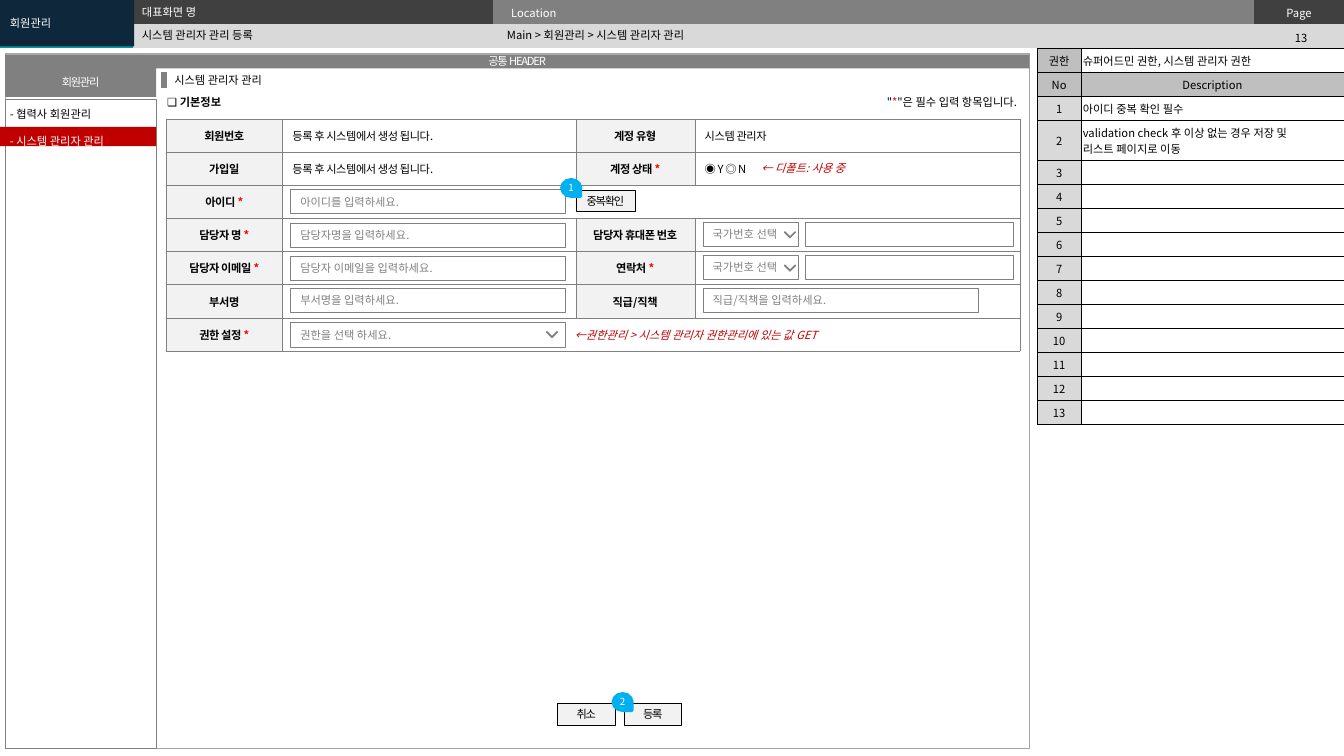
from dataclasses import dataclass

from lxml.etree import SubElement
from pptx import Presentation
from pptx.dml.color import RGBColor
from pptx.enum.shapes import MSO_CONNECTOR, MSO_SHAPE
from pptx.enum.text import MSO_ANCHOR, PP_ALIGN
from pptx.oxml.ns import qn
from pptx.shapes.autoshape import Shape
from pptx.table import Table, _Cell
from pptx.text.text import TextFrame
from pptx.util import Emu, Inches, Pt

CELL = Inches(0.1)  # grid step: the slide is 133.3 columns by 75 rows
FONT = "Noto Sans CJK KR"
BLACK = RGBColor(0x00, 0x00, 0x00)
WHITE = RGBColor(0xFF, 0xFF, 0xFF)
DARK = RGBColor(0x40, 0x40, 0x40)
GRAY = RGBColor(0x80, 0x80, 0x80)
SLATE = RGBColor(0x5F, 0x5F, 0x5F)
EDGE = RGBColor(0xA6, 0xA6, 0xA6)
SILVER = RGBColor(0xBF, 0xBF, 0xBF)
LIGHT = RGBColor(0xD9, 0xD9, 0xD9)
PALE = RGBColor(0xF2, 0xF2, 0xF2)
NAVY = RGBColor(0x0E, 0x27, 0x3B)
TEAL = RGBColor(0x00, 0x9C, 0xA6)
CRIMSON = RGBColor(0xC0, 0x00, 0x00)
RED = RGBColor(0xFF, 0x00, 0x00)
SKY = RGBColor(0x00, 0xB0, 0xF0)
LEFT, MID, RIGHT = PP_ALIGN.LEFT, PP_ALIGN.CENTER, PP_ALIGN.RIGHT
TOP, HALF = MSO_ANCHOR.TOP, MSO_ANCHOR.MIDDLE


@dataclass
class Box:
    x: float
    y: float
    w: float
    h: float
    text: str = ""
    fill: RGBColor | None = None
    line: RGBColor | None = None
    color: RGBColor = BLACK
    align: PP_ALIGN = LEFT
    anchor: MSO_ANCHOR = HALF
    pad: tuple[float, float] = (1, 0.5)
    track: int = 0
    bold: bool = False
    italic: bool = False
    space: float = 1


def span(n: float) -> Emu:
    return Emu(round(n * CELL))


def write(frame: TextFrame, text: str, *, size: float = 8, color: RGBColor = BLACK,
          align: PP_ALIGN = LEFT, bold: bool = False, italic: bool = False,
          track: int = 0, space: float = 1) -> None:
    """Write one paragraph per line, with any star in red."""
    for i, row in enumerate(text.split("\n")):
        par = frame.paragraphs[0] if i == 0 else frame.add_paragraph()
        par.alignment = align
        par.line_spacing = space
        for part in row.partition("*"):
            if not part:
                continue
            run = par.add_run()
            run.text = part
            run.font.size = Pt(size)
            run.font.bold = bold
            run.font.italic = italic
            run.font.color.rgb = RED if part == "*" else color
            run.font.name = FONT
            props = run._r.get_or_add_rPr()
            SubElement(props, qn("a:ea"), typeface=FONT)
            if track:
                props.set("spc", str(track))
        if not row:
            SubElement(par._p, qn("a:endParaRPr"), sz=str(size * 100))


def paint(shape: Shape, fill: RGBColor | None, line: RGBColor | None, width: float = 0.25) -> None:
    shape.shadow.inherit = False
    if fill is None:
        shape.fill.background()
    else:
        shape.fill.solid()
        shape.fill.fore_color.rgb = fill
    if line is None:
        shape.line.fill.background()
    else:
        shape.line.color.rgb = line
        shape.line.width = Pt(width)


def draw(box: Box) -> None:
    area = span(box.x), span(box.y), span(box.w), span(box.h)
    if box.fill is None and box.line is None:
        shape = shapes.add_textbox(*area)
    else:
        shape = shapes.add_shape(MSO_SHAPE.RECTANGLE, *area)
        paint(shape, box.fill, box.line)
    if box.text:
        frame = shape.text_frame
        frame.word_wrap = True
        frame.vertical_anchor = box.anchor
        frame.margin_left = frame.margin_right = span(box.pad[0])
        frame.margin_top = frame.margin_bottom = span(box.pad[1])
        write(frame, box.text, color=box.color, align=box.align, track=box.track,
              bold=box.bold, italic=box.italic, space=box.space)


def field(x: float, y: float, w: float, hint: str = "") -> None:
    draw(Box(x, y, w, 2.4, hint, WHITE, GRAY, GRAY))


def button(x: float, y: float, w: float, text: str) -> None:
    draw(Box(x, y, w, 2.1, text, PALE, BLACK, align=MID, pad=(0, 0), track=-90))


def bar(x: float, y: float, w: float, h: float, text: str) -> None:
    draw(Box(x, y, w, h, text, GRAY, color=WHITE, align=MID, pad=(0.4, 0.5), track=-90))


def arrow(x: float, y: float) -> None:
    """Draw the open arrow of a drop-down list."""
    dots = [(1.1, 0.05), (1.05, 0), (0.55, 0.5), (0.05, 0), (0, 0.05), (0.55, 0.6)]
    spots = [(span(x + a), span(y + b)) for a, b in dots]
    pen = shapes.build_freeform(*spots[0])
    pen.add_line_segments(spots[1:], close=True)
    paint(pen.convert_to_shape(), SLATE, GRAY, 0.75)


def badge(x: float, y: float, text: str) -> None:
    drop = shapes.add_shape(MSO_SHAPE.TEAR, span(x), span(y), span(1.7), span(1.9))
    drop.rotation = 90
    paint(drop, SKY, SKY, 2)
    frame = drop.text_frame
    frame.margin_left = frame.margin_right = frame.margin_top = frame.margin_bottom = 0
    frame.vertical_anchor = HALF
    frame._txBody.bodyPr.set("vert", "vert270")
    write(frame, text, size=7, color=WHITE, align=MID)


def grid(x: float, y: float, cols: list[float], rows: list[float]) -> Table:
    area = span(x), span(y), span(sum(cols)), span(sum(rows))
    table = shapes.add_table(len(rows), len(cols), *area).table
    for col, w in zip(table.columns, cols):
        col.width = span(w)
    for row, h in zip(table.rows, rows):
        row.height = span(h)
    return table


def enter(cell: _Cell, text: str, fill: RGBColor | None, edge: RGBColor | None = None, *,
          width: float = 0.5, pad: tuple[float, float] = (1, 0.5), anchor: MSO_ANCHOR = HALF,
          color: RGBColor = BLACK, align: PP_ALIGN = LEFT, bold: bool = False,
          track: int = 0) -> None:
    props = cell._tc.get_or_add_tcPr()
    for side in ("a:lnL", "a:lnR", "a:lnT", "a:lnB"):
        line = SubElement(props, qn(side), w=str(Pt(width)))
        if edge is None:
            SubElement(line, qn("a:noFill"))
        else:
            SubElement(SubElement(line, qn("a:solidFill")), qn("a:srgbClr"), val=str(edge))
    if fill is None:
        cell.fill.background()
    else:
        cell.fill.solid()
        cell.fill.fore_color.rgb = fill
    cell.margin_left = cell.margin_right = span(pad[0])
    cell.margin_top = cell.margin_bottom = span(pad[1])
    cell.vertical_anchor = anchor
    write(cell.text_frame, text, color=color, align=align, bold=bold, track=track)


def header() -> None:
    table = grid(0, 0, [13.2, 35.7, 75.5, 8.9], [2.38, 2.38])
    table.cell(0, 0).merge(table.cell(1, 0))
    tops = [("", TEAL, LEFT), ("", DARK, LEFT), ("Location", GRAY, LEFT), ("Page", DARK, MID)]
    for c, (text, fill, align) in enumerate(tops):
        enter(table.cell(0, c), text, fill, pad=(1.8, 0.4), anchor=TOP, color=WHITE, align=align)
        enter(table.cell(1, c), "", LIGHT if c else TEAL, pad=(1.8, 0.4))
    draw(Box(124.8, 2.6, 8.5, 2.4, "13", align=MID, anchor=TOP))
    draw(Box(13.1, 2.4, 36.3, 2.2, "시스템 관리자 관리 등록"))
    draw(Box(49.3, 2.3, 73.8, 2.4, "Main > 회원관리 > 시스템 관리자 관리"))
    draw(Box(13.1, 0, 36.2, 2.2, "대표화면 명", color=WHITE, anchor=TOP))
    draw(Box(0, 0, 13.3, 4.6, "회원관리", NAVY, color=WHITE))


def notes() -> None:
    """Draw the description table on the right."""
    tasks = ["아이디 중복 확인 필수",
             "validation check 후 이상 없는 경우 저장 및\n리스트 페이지로 이동"] + [""] * 11
    rows = [("권한", "슈퍼어드민 권한, 시스템 관리자 권한"), ("No", "Description")]
    rows += [(str(n), task) for n, task in enumerate(tasks, 1)]
    table = grid(102.9, 4.8, [4.3, 26.1], [3.97 if "\n" in b else 2.38 for _, b in rows])
    for r, (key, text) in enumerate(rows):
        head = r == 1
        enter(table.cell(r, 0), key, SILVER if r < 2 else LIGHT, BLACK, pad=(0.2, 0.4), align=MID)
        enter(table.cell(r, 1), text, SILVER if head else None, BLACK, pad=(0.2, 0.4),
              anchor=TOP, align=MID if head else LEFT)


def form() -> None:
    auto = "등록 후 시스템에서 생성 됩니다."
    rows = [("회원번호", auto, "계정 유형", "시스템 관리자"),
            ("가입일", auto, "계정 상태 *", "◉ Y ◎ N"),
            ("아이디 *", "", "", ""),
            ("담당자 명 *", "", "담당자 휴대폰 번호", ""),
            ("담당자 이메일 *", "", "연락처 *", ""),
            ("부서명", "", "직급/직책", ""),
            ("권한 설정 *", "", "", "")]
    table = grid(16.5, 11.8, [11.5, 29.1, 11.8, 32.3], [3.29] * len(rows))
    for r, row in enumerate(rows):
        for c, text in enumerate(row):
            label = c == 0 or (c == 2 and text != "")
            enter(table.cell(r, c), text, PALE if label else WHITE, GRAY, width=0.25,
                  align=MID if label else LEFT, bold=label, track=-30)
        if not row[2]:
            table.cell(r, 1).merge(table.cell(r, 3))


deck = Presentation()
deck.slide_width, deck.slide_height = Inches(13.33), Inches(7.5)
shapes = deck.slides.add_slide(deck.slide_layouts[6]).shapes

header()
draw(Box(0.5, 5.3, 101.6, 68.9, line=EDGE))
draw(Box(0.5, 9.8, 15, 64.4, line=GRAY))
bar(0.5, 5.4, 101.6, 1.4, "공통 HEADER")
bar(0.5, 6.7, 15, 2.9, "회원관리")
notes()
draw(Box(16.3, 6.8, 24.1, 2.4, "시스템 관리자 관리", anchor=TOP))
mark = shapes.add_connector(MSO_CONNECTOR.STRAIGHT, span(16.3), span(7.1), span(16.3), span(8.7))
mark.line.color.rgb = GRAY
mark.line.width = Pt(4.5)
SubElement(mark._element.spPr, qn("a:effectLst"))
form()
draw(Box(15.6, 9, 8, 2.4, "❏ 기본정보", bold=True, anchor=TOP))
draw(Box(85.3, 9, 16.8, 2.4, '"*"은 필수 입력 항목입니다. ', align=RIGHT, anchor=TOP))

for y, hint in [(18.8, "아이디를 입력하세요."), (22.1, "담당자명을 입력하세요."),
                (25.4, "담당자 이메일을 입력하세요."), (28.6, "부서명을 입력하세요."),
                (32, "권한을 선택 하세요.")]:
    field(28.8, y, 27.3, hint)
arrow(54.2, 32.9)
field(69.7, 28.6, 27.3, "직급/직책을 입력하세요.")
for y in (22, 25.3):
    field(69.7, y, 9.5, "국가번호 선택")
    field(79.9, y, 20.6)
    arrow(77.8, y + 1)

button(57.1, 18.9, 5.9, "중복확인")
for x, text in [(55.3, "취소"), (61.9, "등록")]:
    button(x, 69.8, 5.7, text)
for x, y, w, text in [(74.5, 15.5, 10.7, "← 디폴트: 사용 중"),
                      (56, 32.1, 27, "←권한관리 > 시스템 관리자 권한관리에 있는 값 GET")]:
    draw(Box(x, y, w, 2.4, text, color=CRIMSON, italic=True, anchor=TOP))

draw(Box(0, 12.6, 15.5, 1.9, fill=CRIMSON))
menu = Box(0, 8.8, 14.4, 6, "- 협력사 회원관리\n- 시스템 관리자 관리", anchor=TOP, space=2)
draw(menu)
shapes[-1].text_frame.paragraphs[1].runs[0].font.color.rgb = WHITE
badge(55.8, 17.7, "1")
badge(60.9, 68.7, "2")
deck.save("out.pptx")
